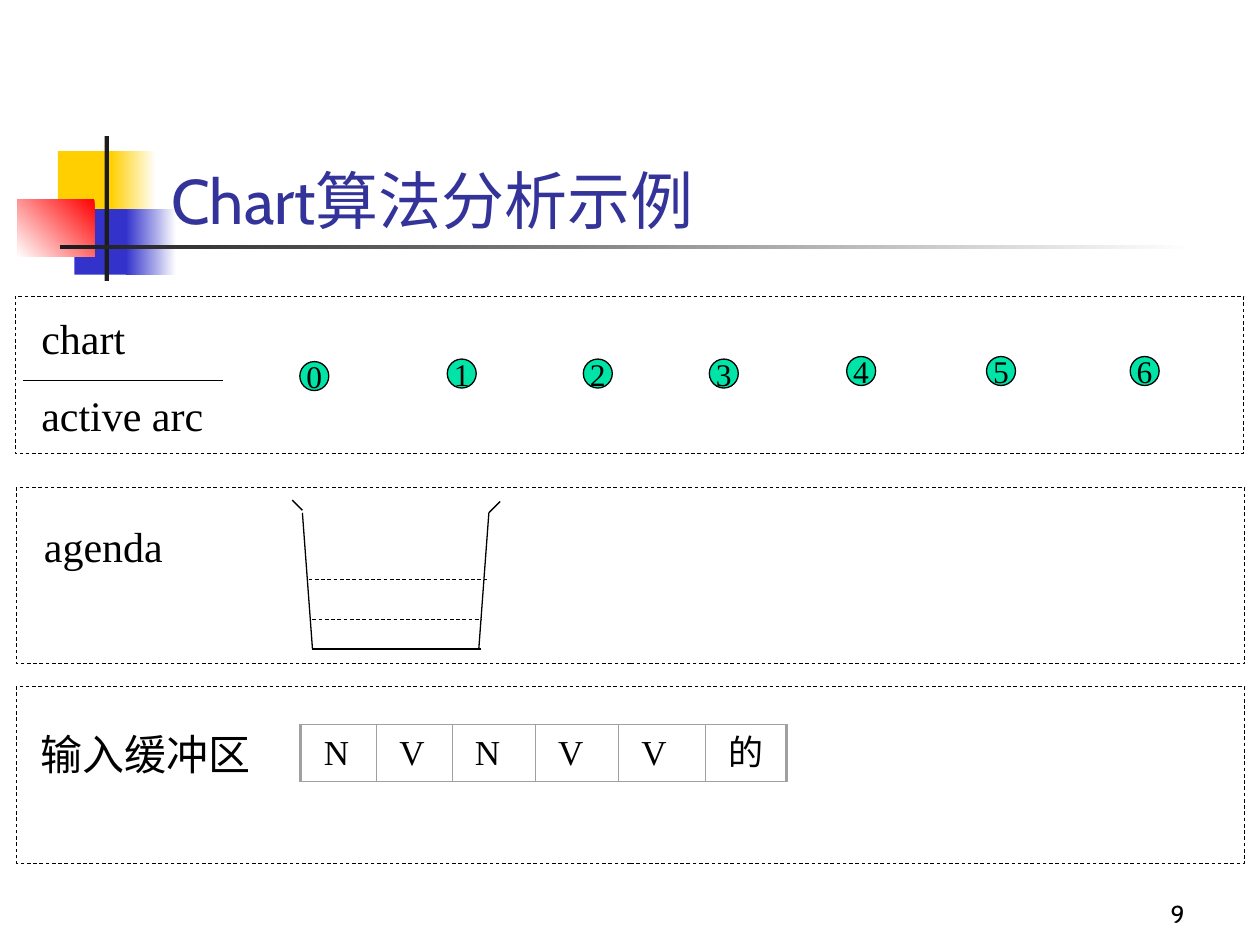
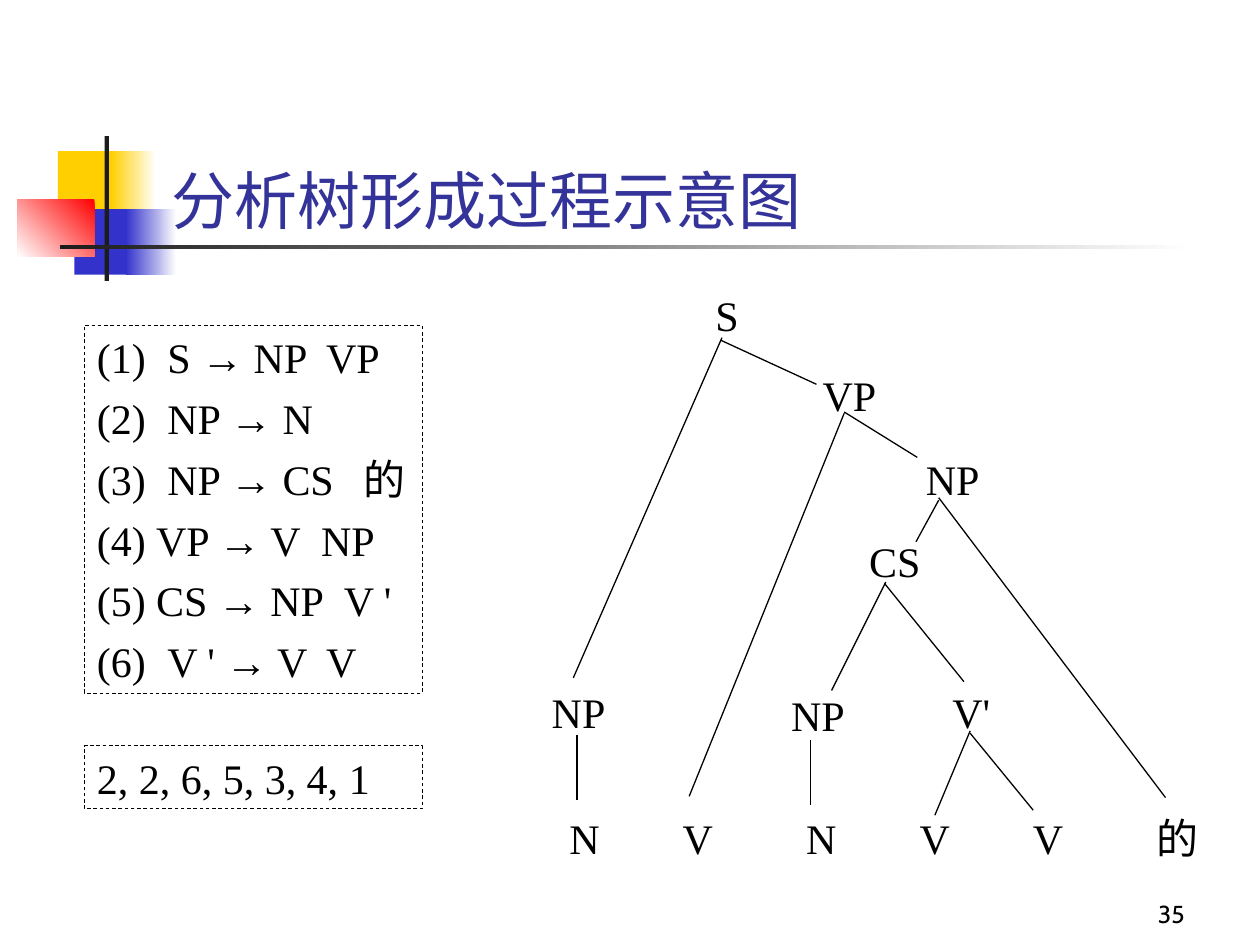
from itertools import accumulate

from lxml.etree import SubElement
from pptx import Presentation
from pptx.dml.color import RGBColor
from pptx.enum.dml import MSO_LINE
from pptx.enum.shapes import MSO_CONNECTOR, MSO_SHAPE
from pptx.enum.text import MSO_ANCHOR, PP_ALIGN
from pptx.oxml.ns import qn
from pptx.util import Inches, Pt

COLS, ROWS = 100, 75
HEAD, BODY, SYMBOL = "Cabin", "Times New Roman", "Arial"
COLORS = {
    "yellow": "FFCF01", "blue": "3333CC", "red": "FF0000", "dark": "1C1C1C",
    "white": "FFFFFF", "title": "333399", "text": "000000",
    "node": "00E4A8", "cell": "A0A0A0",
}


def rgb(name):
    return RGBColor.from_string(COLORS[name])


class Deck:
    """Places elements on the current slide; lengths are grid columns and rows."""

    def __init__(self):
        self.prs = Presentation()
        self.prs.slide_width, self.prs.slide_height = Inches(10), Inches(7.5)
        self.col = self.prs.slide_width / COLS
        self.row = self.prs.slide_height / ROWS
        self.s = None

    def grid(self, *at):
        return [round(v * (self.row if i % 2 else self.col)) for i, v in enumerate(at)]

    def slide(self, title, number):
        self.s = self.prs.slides.add_slide(self.prs.slide_layouts[6])
        # Corner blocks and rules
        self.shape(4.6, 12, 4.8, 5.2, fill="yellow")
        self.shape(8.8, 12, 3.6, 5.2, fill=("white", "yellow", 180))
        self.shape(5.9, 16.6, 4.6, 5.2, fill="blue")
        self.shape(10, 16.6, 4, 5.2, fill=("white", "blue", 180))
        self.shape(1.4, 15.8, 6.1, 4.6, fill=("red", "white", 225))
        self.shape(8.3, 10.8, 0.35, 11.5, fill="dark")
        self.shape(4.8, 19.45, 90, 0.35, fill=("white", "dark", 180))
        # Title and page number
        self.text([title], 12.6, 10.9, 85.2, 8.4, size=36, font=HEAD, color="title",
                  anchor=MSO_ANCHOR.BOTTOM)
        self.text([number], 74.2, 69.2, 20.8, 5, size=14, font=HEAD,
                  anchor=MSO_ANCHOR.BOTTOM, align=PP_ALIGN.RIGHT)

    def shape(self, *at, kind=MSO_SHAPE.RECTANGLE, fill=None, line=None,
              weight=0.75, dash=False):
        sp = self.s.shapes.add_shape(kind, *self.grid(*at))
        sp.shadow.inherit = False
        if fill is None:
            sp.fill.background()
        elif isinstance(fill, str):
            sp.fill.solid()
            sp.fill.fore_color.rgb = rgb(fill)
        else:
            *stops, angle = fill
            sp.fill.gradient()
            sp.fill.gradient_angle = angle
            for stop, color in zip(sp.fill.gradient_stops, stops):
                stop.color.rgb = rgb(color)
        if line:
            self.stroke(sp.line, line, weight, dash)
        else:
            sp.line.fill.background()
        return sp

    def dashed_box(self, *at):
        return self.shape(*at, line="text", weight=0.5, dash=True)

    def stroke(self, line, color, weight, dash=False):
        line.color.rgb = rgb(color)
        line.width = Pt(weight)
        if dash:
            line.dash_style = MSO_LINE.DASH

    def line(self, *ends, dash=False):
        c = self.s.shapes.add_connector(MSO_CONNECTOR.STRAIGHT, *self.grid(*ends))
        self.stroke(c.line, "text", 0.5 if dash else 0.75, dash)
        SubElement(c._element.spPr, qn("a:effectLst"))

    def text(self, lines, *at, **style):
        sp = self.s.shapes.add_textbox(*self.grid(*at))
        return self.set_text(sp, lines, **style)

    def set_text(self, sp, lines, size=24, font=BODY, color="text", before=0,
                 align=PP_ALIGN.LEFT, anchor=MSO_ANCHOR.TOP, wrap=True):
        tf = sp.text_frame
        tf.word_wrap, tf.vertical_anchor = wrap, anchor
        for i, content in enumerate(lines):
            p = tf.paragraphs[0] if i == 0 else tf.add_paragraph()
            p.alignment, p.space_before = align, Pt(before)
            p.font.size, p.font.name, p.font.color.rgb = Pt(size), font, rgb(color)
            # Arrows take their own font
            for part in filter(None, content.partition("→")):
                r = p.add_run()
                r.text = part
                r.font.size, r.font.color.rgb = Pt(size), rgb(color)
                r.font.name = SYMBOL if part == "→" else font
        return tf

    def label(self, content, left, top, width=7.2, font=BODY):
        return self.text([content], left, top, width, 5, font=font, before=15)

    def tabs(self, p, stops):
        pPr = p._p.get_or_add_pPr()
        tab_list = pPr.makeelement(qn("a:tabLst"), {})
        for stop in stops:
            SubElement(tab_list, qn("a:tab"), pos=str(round(stop * self.col)), algn="l")
        pPr.find(qn("a:defRPr")).addprevious(tab_list)


def chart_slide(deck):
    deck.slide("Chart算法分析示例", "9")
    # Three panels
    for panel in ((1.2, 23.5, 97.5, 12.5), (1.3, 38.7, 97.5, 14), (1.3, 54.5, 97.5, 14)):
        deck.dashed_box(*panel)

    # Chart and active arcs
    deck.text(["chart", "active arc"], 2.3, 24.3, 16, 11.1, before=15)
    deck.line(1.8, 30.2, 17.7, 30.2)
    nodes = ((23.8, 28.7), (35.5, 28.5), (46.3, 28.5), (56.3, 28.5),
             (67.2, 28.3), (78.3, 28.3), (89.7, 28.3))
    for number, (left, top) in enumerate(nodes):
        node = deck.shape(left, top, 2.3, 2.3, kind=MSO_SHAPE.OVAL, fill="node", line="text")
        deck.set_text(node, [str(number)], size=18, align=PP_ALIGN.CENTER,
                      anchor=MSO_ANCHOR.MIDDLE, wrap=False)

    # Agenda bucket
    deck.label("agenda", 2.5, 40.8, 12.5)
    for edge in ((24.8, 51.5, 38.2, 51.5), (24, 40.7, 24.8, 51.5), (38.8, 40.7, 38, 51.5),
                 (23.2, 39.7, 24, 40.5), (39.7, 39.8, 38.8, 40.7)):
        deck.line(*edge)
    deck.line(24.8, 49.2, 38.2, 49.2, dash=True)
    deck.line(24.5, 46, 38.8, 46, dash=True)

    # Input buffer
    deck.label("输入缓冲区", 2.2, 57.3, 20, font=HEAD)
    widths = (6, 6, 6.6, 6.6, 6.9, 6.5)
    lefts = accumulate(widths, initial=23.9)
    for word, left, width in zip("NVNVV的", lefts, widths):
        cell = deck.shape(left, 57.5, width, 4.5, line="cell", weight=0)
        tf = deck.set_text(cell, [word], size=20)
        tf.margin_left = Inches(0.18)
    deck.shape(23.8, 57.5, 38.6, 4.5, line="cell")


def tree_slide(deck):
    deck.slide("分析树形成过程示意图", "35")
    # Grammar rules, each with its tab stops
    rules = (
        ("(1)\tS → NP\tVP", (5.6, 18.2)),
        ("(2)\tNP → N", (5.6,)),
        ("(3)\tNP → CS\t的", (5.6, 21.2)),
        ("(4)\tVP → V\tNP", (4.7, 17.8)),
        ("(5)\tCS → NP\tV '", (4.7, 19.6)),
        ("(6)\tV ' → V\tV", (5.6, 18.2)),
    )
    box = deck.dashed_box(6.7, 25.8, 26.8, 29.2)
    tf = deck.set_text(box, [rule for rule, _ in rules], before=6)
    for p, (_, stops) in zip(tf.paragraphs, rules):
        deck.tabs(p, stops)

    # Order of reductions
    box = deck.dashed_box(6.7, 59.2, 26.8, 5)
    deck.set_text(box, ["2, 2, 6, 5, 3, 4, 1"], before=15)

    # Leaves
    tf = deck.label("\t".join("NVNVV的"), 44.2, 64, 53.3)
    deck.tabs(tf.paragraphs[0], (9, 18.8, 27.8, 36.8, 46.6))

    # Inner nodes with the branches below them
    tree = (
        ("NP", 42.8, 54, [(45.8, 58.3, 45.8, 63.5)]),
        ("NP", 61.8, 54.2, [(64.3, 58.7, 64.3, 63.9)]),
        ("V'", 74.6, 54, [(77, 58, 74.2, 64.7), (77, 58.2, 82, 64.3)]),
        ("CS", 68, 42, [(70.3, 46.2, 66, 54.8), (70.2, 46.3, 76.5, 54.1)]),
        ("NP", 72.5, 35.5, [(74.5, 39.7, 72.7, 43), (74.5, 39.5, 92.5, 63.3)]),
        ("VP", 64.3, 28.8, [(67, 32.8, 54.7, 63.2), (67, 32.7, 72.8, 36.3)]),
        ("S", 55.8, 22.5, [(57.3, 26.8, 45.5, 53.8), (57.2, 27, 64.8, 30.5)]),
    )
    for symbol, left, top, branches in tree:
        deck.label(symbol, left, top)
        for branch in branches:
            deck.line(*branch)


def main():
    deck = Deck()
    chart_slide(deck)
    tree_slide(deck)
    deck.prs.save("out.pptx")


if __name__ == "__main__":
    main()
